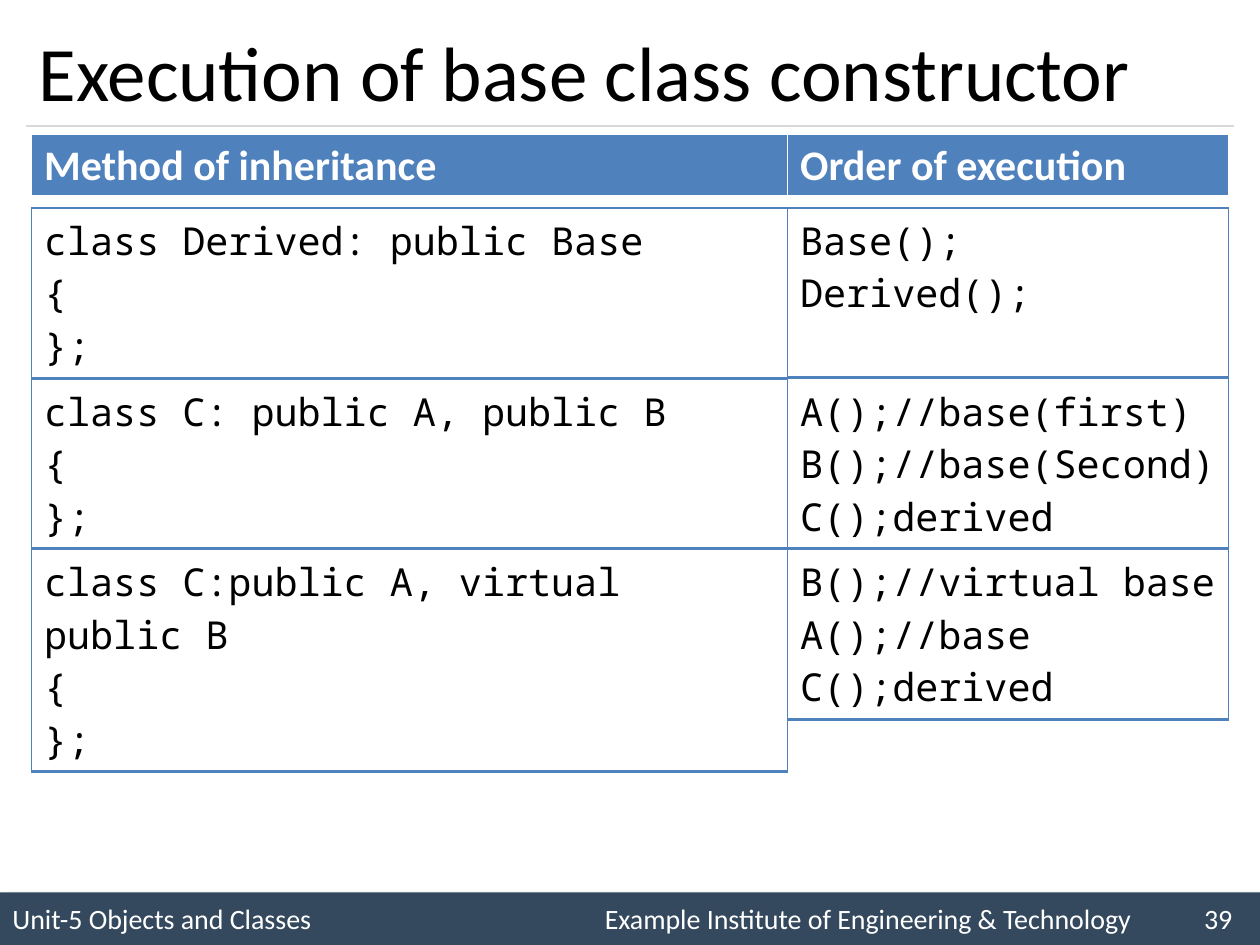
from dataclasses import dataclass

from lxml.etree import SubElement
from pptx import Presentation
from pptx.dml.color import RGBColor
from pptx.enum.shapes import MSO_CONNECTOR as Connector, MSO_SHAPE as Shape
from pptx.enum.text import MSO_ANCHOR as Anchor, PP_ALIGN as Align
from pptx.oxml.ns import qn
from pptx.slide import Slide
from pptx.table import _Cell as Cell
from pptx.text.text import _Paragraph as Paragraph
from pptx.util import Pt

COLORS = {"text": "000000", "white": "FFFFFF", "accent": "4F81BD",
          "rule": "D9D9D9", "footer": "34495E"}
BODY_FONT, CODE_FONT = "Calibri", "Noto Sans Mono"

TABLE_LEFT, COLUMNS = 18, (432, 252)
HEADER_TOP, HEADER_HEIGHT = 76.5, 36
CODE_TOP, CODE_HEIGHT, CODE_PITCH = 118.8, 97, 97.5


@dataclass
class TableStyle:
    font: str
    size: float
    color: str
    bold: bool
    fill: str | None
    border: str
    bottom_width: float


@dataclass
class Example:
    declaration: str
    calls: list[str]


HEADER = TableStyle(BODY_FONT, 24, "white", True, "accent", "white", 3)
CODE = TableStyle(CODE_FONT, 22, "text", False, None, "accent", 2)

EXAMPLES = [
    Example("class Derived: public Base", ["Base();", "Derived();"]),
    Example("class C: public A, public B",
            ["A();//base(first)", "B();//base(Second)", "C();derived"]),
    Example("class C:public A, virtual public B",
            ["B();//virtual base", "A();//base", "C();derived"]),
]


def rgb(name: str) -> RGBColor:
    return RGBColor.from_string(COLORS[name])


def set_font(paragraph: Paragraph, name: str, size: float, color: str,
             bold: bool = False) -> None:
    font = paragraph.font
    font.name, font.size, font.bold = name, Pt(size), bold
    font.color.rgb = rgb(color)


def set_borders(cell: Cell, style: TableStyle) -> None:
    properties = cell._tc.get_or_add_tcPr()
    for side in "LRTB":
        width = style.bottom_width if side == "B" else 1
        line = SubElement(properties, qn(f"a:ln{side}"), w=str(Pt(width)))
        fill = SubElement(line, qn("a:solidFill"))
        SubElement(fill, qn("a:srgbClr"), val=COLORS[style.border])


def add_table(slide: Slide, left: float, top: float, height: float,
              widths: tuple[float, ...], texts: list[str],
              style: TableStyle) -> None:
    """Draw a one-row table; line breaks in a text start new paragraphs."""
    table = slide.shapes.add_table(1, len(widths), Pt(left), Pt(top),
                                   Pt(sum(widths)), Pt(height)).table
    table.first_row = style is HEADER
    table.horz_banding = False
    for column, width, text in zip(table.columns, widths, texts):
        column.width = Pt(width)
    for cell, text in zip(table.rows[0].cells, texts):
        cell.text = text
        set_borders(cell, style)
        if style.fill:
            cell.fill.solid()
            cell.fill.fore_color.rgb = rgb(style.fill)
        else:
            cell.fill.background()
        for paragraph in cell.text_frame.paragraphs:
            set_font(paragraph, style.font, style.size, style.color, style.bold)


def add_footer(slide: Slide, texts: list[str], stops: list[float]) -> None:
    bar = slide.shapes.add_shape(Shape.RECTANGLE, 0, Pt(510), Pt(720), Pt(30))
    bar.fill.solid()
    bar.fill.fore_color.rgb = rgb("footer")
    bar.line.fill.background()
    # Soft shadow
    bar.shadow.inherit = False
    effects = bar._element.spPr.find(qn("a:effectLst"))
    shadow = SubElement(effects, qn("a:outerShdw"), blurRad=str(Pt(4)),
                        dist=str(Pt(3)), dir="2700000")
    tint = SubElement(shadow, qn("a:srgbClr"), val=COLORS["text"])
    SubElement(tint, qn("a:alpha"), val="40000")
    # Text laid out on tab stops
    frame = bar.text_frame
    frame.vertical_anchor = Anchor.MIDDLE
    paragraph = frame.paragraphs[0]
    paragraph.text = "\t".join(texts)
    paragraph.alignment = Align.LEFT
    tabs = SubElement(paragraph._p.get_or_add_pPr(), qn("a:tabLst"))
    for stop in stops:
        SubElement(tabs, qn("a:tab"), pos=str(Pt(stop)), algn="l")
    set_font(paragraph, BODY_FONT, 16, "white")


def main() -> None:
    deck = Presentation()
    deck.slide_width, deck.slide_height = Pt(720), Pt(540)
    slide = deck.slides.add_slide(deck.slide_layouts[5])

    # Footer bar and rule under the title
    add_footer(slide, ["Unit-5 Objects and Classes",
                       "Example Institute of Engineering & Technology", "39"],
               [338.5, 681])
    rule = slide.shapes.add_connector(Connector.STRAIGHT, Pt(15), Pt(72),
                                      Pt(705), Pt(72))
    rule.line.color.rgb = rgb("rule")
    rule.line.width = Pt(0.75)
    SubElement(rule._element.spPr, qn("a:effectLst"))

    # Title
    title = slide.shapes.title
    title.left, title.top, title.width, title.height = Pt(15), Pt(9), Pt(690), Pt(63)
    title.text_frame.text = "Execution of base class constructor"
    title.text_frame.vertical_anchor = Anchor.MIDDLE
    heading = title.text_frame.paragraphs[0]
    heading.alignment = Align.LEFT
    set_font(heading, BODY_FONT, 44, "text")

    # Header row, then one pair of code boxes per example
    add_table(slide, TABLE_LEFT, HEADER_TOP, HEADER_HEIGHT, COLUMNS,
              ["Method of inheritance", "Order of execution"], HEADER)
    for index, example in enumerate(EXAMPLES):
        top = CODE_TOP + index * CODE_PITCH
        declaration = "\n".join([example.declaration, "{", "};"])
        calls = "\n".join(example.calls)
        add_table(slide, TABLE_LEFT, top, CODE_HEIGHT, COLUMNS[:1],
                  [declaration], CODE)
        add_table(slide, TABLE_LEFT + COLUMNS[0], top, CODE_HEIGHT, COLUMNS[1:],
                  [calls], CODE)

    deck.save("out.pptx")


if __name__ == "__main__":
    main()
